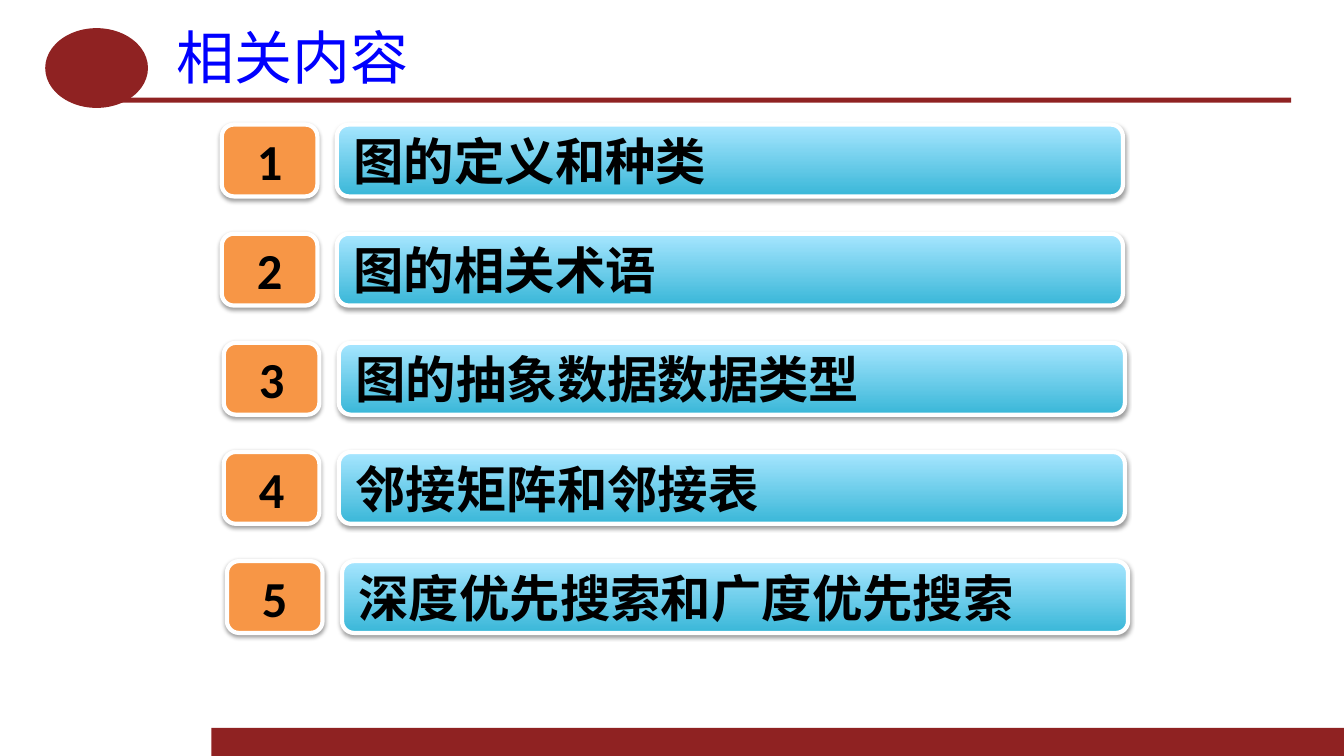
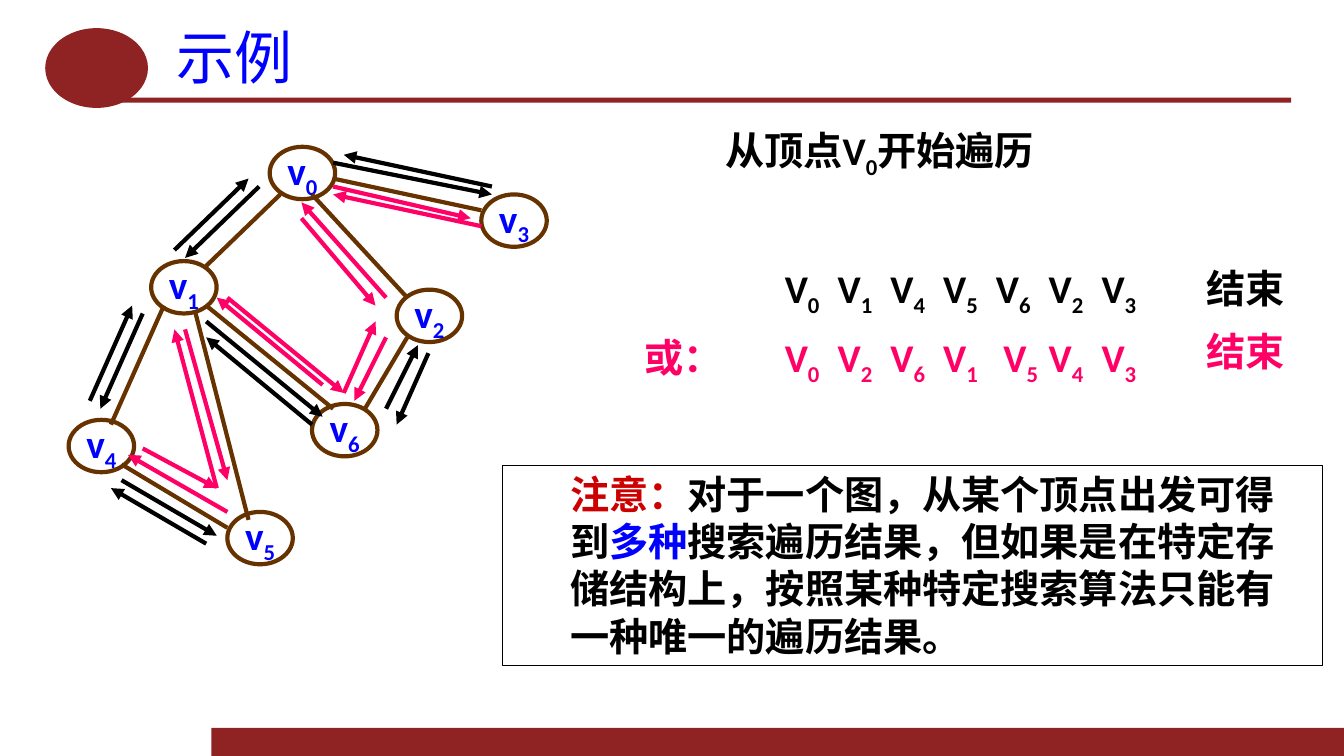
from dataclasses import dataclass
from typing import NamedTuple

from lxml.etree import SubElement
from pptx import Presentation
from pptx.dml.color import RGBColor
from pptx.enum.shapes import MSO_CONNECTOR, MSO_SHAPE
from pptx.enum.text import MSO_ANCHOR, PP_ALIGN
from pptx.oxml.ns import qn
from pptx.util import Cm, Pt

# Colours and fonts
MAROON = RGBColor(0x8F, 0x22, 0x22)
BLUE = RGBColor(0x00, 0x00, 0xFF)
BLACK = RGBColor(0x00, 0x00, 0x00)
WHITE = RGBColor(0xFF, 0xFF, 0xFF)
ORANGE = RGBColor(0xF7, 0x96, 0x46)
TEAL = RGBColor(0x39, 0xB7, 0xD8)
SKY = RGBColor(0xA7, 0xE6, 0xFF)
BROWN = RGBColor(0x66, 0x33, 0x00)
PINK = RGBColor(0xFF, 0x00, 0x66)
RED = RGBColor(0xCC, 0x00, 0x00)
BODY = "Calibri"
HEAD = "Noto Sans CJK SC"

# Graph grid: origin and cell size in cm
LEFT, TOP = 1.73, 3.7
STEP_X, STEP_Y = 4 / 15, 0.2


class Run(NamedTuple):
    text: str
    color: RGBColor | None = None
    sub: bool = False


class Box(NamedTuple):
    x: float
    y: float
    w: float
    h: float

    def lengths(self) -> list:
        return [Cm(n) for n in self]


@dataclass
class Topic:
    text: str
    left: float


@dataclass
class Node:
    num: str
    col: float
    row: float


class Edge(NamedTuple):
    x1: float
    y1: float
    x2: float
    y2: float


TOPICS = [
    Topic("图的定义和种类", 5.59),
    Topic("图的相关术语", 5.59),
    Topic("图的抽象数据数据类型", 5.64),
    Topic("邻接矩阵和邻接表", 5.64),
    Topic("深度优先搜索和广度优先搜索", 5.72),
]

# Graph data, in grid cells
NODES = [
    Node("0", 19, 0), Node("1", 7.8, 14.4), Node("2", 31, 18), Node("3", 39, 6),
    Node("4", 0, 34.4), Node("5", 15, 46), Node("6", 23, 32.4),
]
LINKS = [
    Edge(25, 4, 39, 8), Edge(20, 6, 13, 15), Edge(9, 20, 4, 35),
    Edge(5, 40, 15, 48), Edge(12, 21, 17, 47), Edge(13, 20, 25, 33),
    Edge(23, 6, 32, 19), Edge(32, 24, 28, 33),
]
FIRST = [
    Edge(18, 5, 11, 14), Edge(7, 21, 3, 33), Edge(5, 42, 14, 49),
    Edge(13, 50, 4, 43), Edge(2, 32, 6, 20), Edge(13, 22, 24, 34),
    Edge(30, 33, 33, 25), Edge(34, 26, 31, 35), Edge(23, 35, 13, 24),
    Edge(10, 13, 17, 4), Edge(25, 2, 40, 6), Edge(40, 5, 26, 1),
]
SECOND = [
    Edge(22, 9, 29, 20), Edge(30, 24, 27, 32), Edge(24, 30, 14, 19),
    Edge(11, 23, 15, 42), Edge(15, 46, 5.6, 38.8), Edge(7, 38, 14, 43),
    Edge(14, 43, 10, 23), Edge(15, 19, 26, 31), Edge(26, 31, 29, 22),
    Edge(30, 19, 22, 7), Edge(25, 5, 38, 9), Edge(39, 10, 25, 6),
]


def write(shape, runs: list[Run], *, size: float = 28, color=BLACK, font=BODY,
          bold=True, align=PP_ALIGN.LEFT, anchor=MSO_ANCHOR.TOP, wrap=True,
          pad=(0.25, 0.13), indent: float = 0) -> None:
    """Fill a shape with one formatted paragraph."""
    frame = shape.text_frame
    frame.word_wrap = wrap
    frame.vertical_anchor = anchor
    frame.margin_left = frame.margin_right = Cm(pad[0])
    frame.margin_top = frame.margin_bottom = Cm(pad[1])
    para = frame.paragraphs[0]
    para.alignment = align
    if indent:
        para._p.get_or_add_pPr().set("marL", str(Cm(indent)))
    for part in runs:
        run = para.add_run()
        run.text = part.text
        run.font.size = Pt(size)
        run.font.bold = bold
        run.font.name = font
        run.font.color.rgb = part.color or color
        props = run._r.get_or_add_rPr()
        SubElement(props, qn("a:ea")).set("typeface", font)
        if part.sub:
            props.set("baseline", "-25000")


def draw(slide, kind, box: Box, *, fill=None, line=None, width: float = 3):
    """Add a flat preset shape."""
    shape = slide.shapes.add_shape(kind, *box.lengths())
    shape.shadow.inherit = False
    if fill is None:
        shape.fill.background()
    else:
        shape.fill.solid()
        shape.fill.fore_color.rgb = fill
    if line is None:
        shape.line.fill.background()
    else:
        shape.line.color.rgb = line
        shape.line.width = Pt(width)
    return shape


def label(slide, box: Box, runs: list[Run], color=BLACK) -> None:
    write(slide.shapes.add_textbox(*box.lengths()), runs, color=color)


def shade(shape) -> None:
    """Give a shape a soft shadow below it."""
    effects = shape._element.spPr.find(qn("a:effectLst"))
    drop = SubElement(effects, qn("a:outerShdw"), blurRad="40000", dist="20000",
                      dir="5400000", rotWithShape="0")
    tint = SubElement(drop, qn("a:srgbClr"), val=str(BLACK))
    SubElement(tint, qn("a:alpha"), val="38000")


def join(slide, edge: Edge, color: RGBColor, arrow: bool) -> None:
    """Connect two grid points."""
    ends = [Cm(LEFT + edge.x1 * STEP_X), Cm(TOP + edge.y1 * STEP_Y),
            Cm(LEFT + edge.x2 * STEP_X), Cm(TOP + edge.y2 * STEP_Y)]
    link = slide.shapes.add_connector(MSO_CONNECTOR.STRAIGHT, *ends)
    link.line.color.rgb = color
    link.line.width = Pt(3)
    if arrow:
        SubElement(link.line._get_or_add_ln(), qn("a:tailEnd"), type="triangle")
    SubElement(link._element.spPr, qn("a:effectLst"))


def brand(slide, layout) -> None:
    """Put the shared bands and the title place on the layout."""
    parts = [
        (MSO_SHAPE.RECTANGLE, Box(5.33, 18.34, 28.54, 0.71)),
        (MSO_SHAPE.RECTANGLE, Box(3, 2.46, 29.54, 0.13)),
        (MSO_SHAPE.OVAL, Box(1.14, 0.71, 2.59, 2.01)),
    ]
    for kind, box in parts:
        shape = draw(slide, kind, box, fill=MAROON)
        layout.shapes._spTree.append(shape._element)


def head(slide, text: str) -> None:
    title = slide.shapes.title
    title.left, title.top, title.width, title.height = Box(4.11, 0.53, 28.42, 1.8).lengths()
    write(title, [Run(text)], size=41.4, color=BLUE, font=HEAD, bold=False,
          align=PP_ALIGN.JUSTIFY, anchor=MSO_ANCHOR.MIDDLE, pad=(0.33, 0.16))


def topics(slide) -> None:
    """Numbered list of topic bars."""
    style = dict(size=36, anchor=MSO_ANCHOR.MIDDLE, pad=(0.33, 0.16))
    for i, topic in enumerate(TOPICS):
        top = 3.14 + 2.75 * i
        badge = draw(slide, MSO_SHAPE.ROUNDED_RECTANGLE,
                     Box(topic.left, top, 2.41, 1.81), fill=ORANGE, line=WHITE)
        write(badge, [Run(str(i + 1))], align=PP_ALIGN.CENTER, **style)
        bar = draw(slide, MSO_SHAPE.ROUNDED_RECTANGLE,
                   Box(topic.left + 2.9, top, 19.81, 1.81), line=WHITE)
        bar.fill.gradient()
        bar.fill.gradient_angle = 90
        for stop, color in zip(bar.fill.gradient_stops, (TEAL, SKY)):
            stop.color.rgb = color
        write(bar, [Run(topic.text)], align=PP_ALIGN.JUSTIFY, **style)
        for shape in (badge, bar):
            shade(shape)


def graph(slide) -> None:
    """Nodes, links and the arrows of both walks."""
    for node in NODES:
        box = Box(LEFT + node.col * STEP_X, TOP + node.row * STEP_Y, 1.65, 1.32)
        oval = draw(slide, MSO_SHAPE.OVAL, box, line=BROWN)
        write(oval, [Run("v"), Run(node.num, sub=True)], color=BLUE, wrap=False,
              align=PP_ALIGN.CENTER, anchor=MSO_ANCHOR.MIDDLE, pad=(0, 0))
    for edges, color in ((LINKS, BROWN), (FIRST, BLACK), (SECOND, PINK)):
        for edge in edges:
            join(slide, edge, color, arrow=color != BROWN)


def walk(slide, order: str, top: float, end: float, color: RGBColor,
         shift: dict[int, float]) -> None:
    """One row of visited vertices and its end mark."""
    for i, num in enumerate(order):
        left = 19.53 + 1.33 * i + shift.get(i, 0)
        label(slide, Box(left, top, 3.4, 1.45), [Run("V"), Run(num, sub=True)], color)
    label(slide, Box(30.15, end, 3.6, 1.45), [Run("结束")], color)


def note(slide) -> None:
    frame = draw(slide, MSO_SHAPE.RECTANGLE, Box(12.67, 11.73, 20.66, 5.05),
                 line=BLACK, width=0.75)
    write(frame, [
        Run("注意：", RED),
        Run("对于一个图，从某个顶点出发可得到"),
        Run("多种", BLUE),
        Run("搜索遍历结果，但如果是在特定存储结构上，"
            "按照某种特定搜索算法只能有一种唯一的遍历结果。"),
    ], indent=1.45)


def main() -> None:
    deck = Presentation()
    deck.slide_width, deck.slide_height = Cm(33.87), Cm(19.05)
    layout = deck.slide_layouts[5]

    # Contents
    slide = deck.slides.add_slide(layout)
    brand(slide, layout)
    head(slide, "相关内容")
    topics(slide)

    # Example
    slide = deck.slides.add_slide(layout)
    head(slide, "示例")
    graph(slide)
    label(slide, Box(18.03, 3.05, 11.73, 1.45),
          [Run("从顶点V"), Run("0", sub=True), Run("开始遍历")])
    walk(slide, "0145623", 6.53, 6.53, BLACK, {})
    walk(slide, "0261543", 8.28, 8.13, PINK, {4: 0.19})
    label(slide, Box(16, 8.28, 3.73, 1.45), [Run("或：")], PINK)
    note(slide)

    deck.save("out.pptx")


if __name__ == "__main__":
    main()
